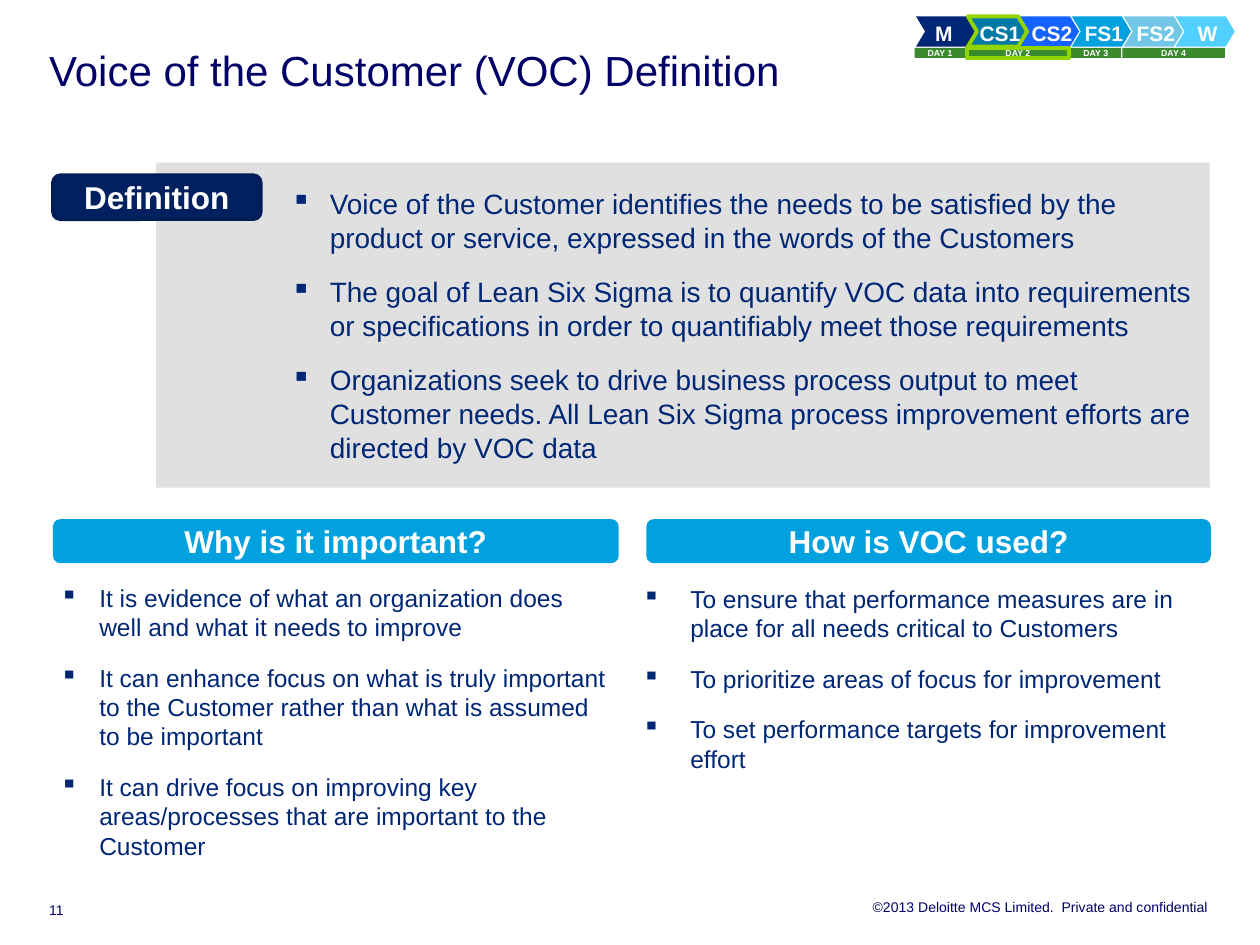
from lxml.etree import SubElement
from pptx import Presentation
from pptx.dml.color import RGBColor
from pptx.enum.shapes import MSO_SHAPE
from pptx.enum.text import MSO_ANCHOR, MSO_AUTO_SIZE, PP_ALIGN
from pptx.oxml.ns import qn
from pptx.util import Inches, Pt

WHITE = RGBColor(0xFF, 0xFF, 0xFF)
INDIGO = RGBColor(0x00, 0x00, 0x66)
NAVY = RGBColor(0x00, 0x27, 0x76)
DEEP_NAVY = RGBColor(0x00, 0x20, 0x60)
NAVY_EDGE = RGBColor(0x00, 0x1D, 0x57)
SKY = RGBColor(0x00, 0xA1, 0xDE)
GREY = RGBColor(0xD9, 0xD9, 0xD9)
GREEN = RGBColor(0x3C, 0x8A, 0x2E)
LIME = RGBColor(0x92, 0xD4, 0x00)
FONT = "Arial"

# Content
TITLE = "Voice of the Customer (VOC) Definition"
COPYRIGHT = " ©2013 Deloitte MCS Limited.  Private and confidential"
PAGE_NUMBER = "11"
DEFINITION = [
    "Voice of the Customer identifies the needs to be satisfied by the product or service, "
    "expressed in the words of the Customers",
    "The goal of Lean Six Sigma is to quantify VOC data into requirements or specifications "
    "in order to quantifiably meet those requirements",
    "Organizations seek to drive business process output to meet Customer needs. All Lean Six "
    "Sigma process improvement efforts are directed by VOC data",
]
IMPORTANCE = [
    "It is evidence of what an organization does well and what it needs to improve",
    "It can enhance focus on what is truly important to the Customer rather than what is "
    "assumed to be important",
    "It can drive focus on improving key areas/processes that are important to the Customer",
]
USES = [
    "To ensure that performance measures are in place for all needs critical to Customers",
    "To prioritize areas of focus for improvement",
    "To set performance targets for improvement effort",
]
# Headings: label, area, fill, outline
HEADINGS = [
    ("Definition", (0.42, 1.39, 1.65, 0.35), DEEP_NAVY, (NAVY_EDGE, 2)),
    ("Why is it important?", (0.42, 4.12, 4.49, 0.35), SKY, None),
    ("How is VOC used?", (5.13, 4.12, 4.48, 0.35), SKY, None),
]
# Text areas: bullets, area, left margin, hanging indent
COLUMNS = [
    (IMPORTANCE, (-0.12, 4.3, 5.03, 2.85), 0.81, 0.31),
    (USES, (4.5, 4.16, 5.11, 2.45), 0.88, 0.38),
]
# Tracker: stages by column, days as (label, first column, columns spanned)
STAGES = [("M", NAVY), ("CS1", RGBColor(0x00, 0x79, 0xA6)),
          ("CS2", RGBColor(0x14, 0x62, 0xFF)), ("FS1", SKY),
          ("FS2", RGBColor(0x72, 0xC7, 0xE7)), ("W", RGBColor(0x52, 0xD0, 0xFF))]
DAYS = [("DAY 1", 0, 1), ("DAY 2", 1, 2), ("DAY 3", 3, 1), ("DAY 4", 4, 2)]
CURRENT = ("CS1", "DAY 2")
TRACK_LEFT, TRACK_STEP = 7.26, 0.412

deck = Presentation()
deck.slide_width, deck.slide_height = Inches(10), Inches(7.5)
page = deck.slides.add_slide(deck.slide_layouts[5])


def set_frame(box, anchor, insets=(0.1, 0.05, 0.1, 0.05), wrap=True):
    frame = box.text_frame
    frame.word_wrap, frame.vertical_anchor = wrap, anchor
    frame.auto_size = MSO_AUTO_SIZE.NONE
    (frame.margin_left, frame.margin_top,
     frame.margin_right, frame.margin_bottom) = map(Inches, insets)
    return frame


def write(para, text, size, color, bold=False, align=PP_ALIGN.LEFT):
    para.alignment = align
    span = para.add_run()
    span.text = text
    span.font.name, span.font.size, span.font.bold = FONT, Pt(size), bold
    span.font.color.rgb = color


def add_block(kind, area, fill, outline=None):
    block = page.shapes.add_shape(kind, *map(Inches, area))
    block.shadow.inherit = False
    block.fill.solid()
    block.fill.fore_color.rgb = fill
    if outline:
        block.line.color.rgb, block.line.width = outline[0], Pt(outline[1])
    else:
        block.line.fill.background()
    return block


def add_text(area, text, size, anchor, align):
    box = page.shapes.add_textbox(*map(Inches, area))
    write(set_frame(box, anchor, (0, 0, 0, 0)).paragraphs[0], text, size, INDIGO, align=align)


def write_bullets(box, items, size, margin, hang):
    frame = set_frame(box, MSO_ANCHOR.MIDDLE)
    for index, item in enumerate(items):
        para = frame.add_paragraph() if index else frame.paragraphs[0]
        para.level = 1
        properties = para._p.get_or_add_pPr()
        properties.set("marL", str(Inches(margin)))
        properties.set("indent", str(-Inches(hang)))
        SubElement(properties, qn("a:buChar"), char="▪")
        para.space_before = Pt(12 if index else 0)
        write(para, item, size, NAVY)


def outline_for(label):
    return (LIME, 2.25) if label in CURRENT else None


# Stage and day tracker, current step in front
for column, (label, fill) in sorted(enumerate(STAGES), key=lambda item: item[1][0] in CURRENT):
    area = (TRACK_LEFT + 0.01 + column * TRACK_STEP, 0.13, 0.47, 0.24)
    stage = add_block(MSO_SHAPE.CHEVRON, area, fill, outline_for(label))
    stage.adjustments[0] = 0.3
    first = column == 0
    insets = (0.08, 0.06, 0, 0.06) if first else (0.2, 0.06, 0.16, 0.06)
    para = set_frame(stage, MSO_ANCHOR.MIDDLE, insets, wrap=False).paragraphs[0]
    para.line_spacing = 1.1
    write(para, label, 12, WHITE, True, PP_ALIGN.LEFT if first else PP_ALIGN.CENTER)

for label, column, span_count in sorted(DAYS, key=lambda day: day[0] in CURRENT):
    area = (TRACK_LEFT + column * TRACK_STEP, 0.38, span_count * TRACK_STEP - 0.01, 0.08)
    day = add_block(MSO_SHAPE.RECTANGLE, area, GREEN, outline_for(label))
    frame = set_frame(day, MSO_ANCHOR.TOP, (0.04, 0, 0.04, 0))
    write(frame.paragraphs[0], label, 5, WHITE, True, PP_ALIGN.CENTER)

# Title
title = page.shapes.title
title.left, title.top, title.width, title.height = map(Inches, (0.39, 0.39, 9.21, 0.69))
para = set_frame(title, MSO_ANCHOR.TOP, (0, 0, 0, 0)).paragraphs[0]
para.line_spacing = Pt(26)
write(para, TITLE, 24, INDIGO)

# Definition panel
panel = add_block(MSO_SHAPE.RECTANGLE, (1.24, 1.29, 8.36, 2.58), GREY)
panel_color = panel.fill._xPr.find(qn("a:solidFill"))[0]
SubElement(panel_color, qn("a:alpha"), val="80000")
write_bullets(panel, DEFINITION, 16, 1.28, 0.31)

# Bullet columns and headings
for items, area, margin, hang in COLUMNS:
    write_bullets(page.shapes.add_textbox(*map(Inches, area)), items, 14, margin, hang)
for label, area, fill, outline in HEADINGS:
    heading = add_block(MSO_SHAPE.ROUNDED_RECTANGLE, area, fill, outline)
    frame = set_frame(heading, MSO_ANCHOR.MIDDLE)
    write(frame.paragraphs[0], label, 18, WHITE, True, PP_ALIGN.CENTER)

# Footer
add_text((3.4, 7.13, 6.19, 0.13), COPYRIGHT, 8, MSO_ANCHOR.TOP, PP_ALIGN.RIGHT)
add_text((0.39, 7.16, 0.39, 0.13), PAGE_NUMBER, 8, MSO_ANCHOR.BOTTOM, PP_ALIGN.LEFT)

deck.save("out.pptx")
